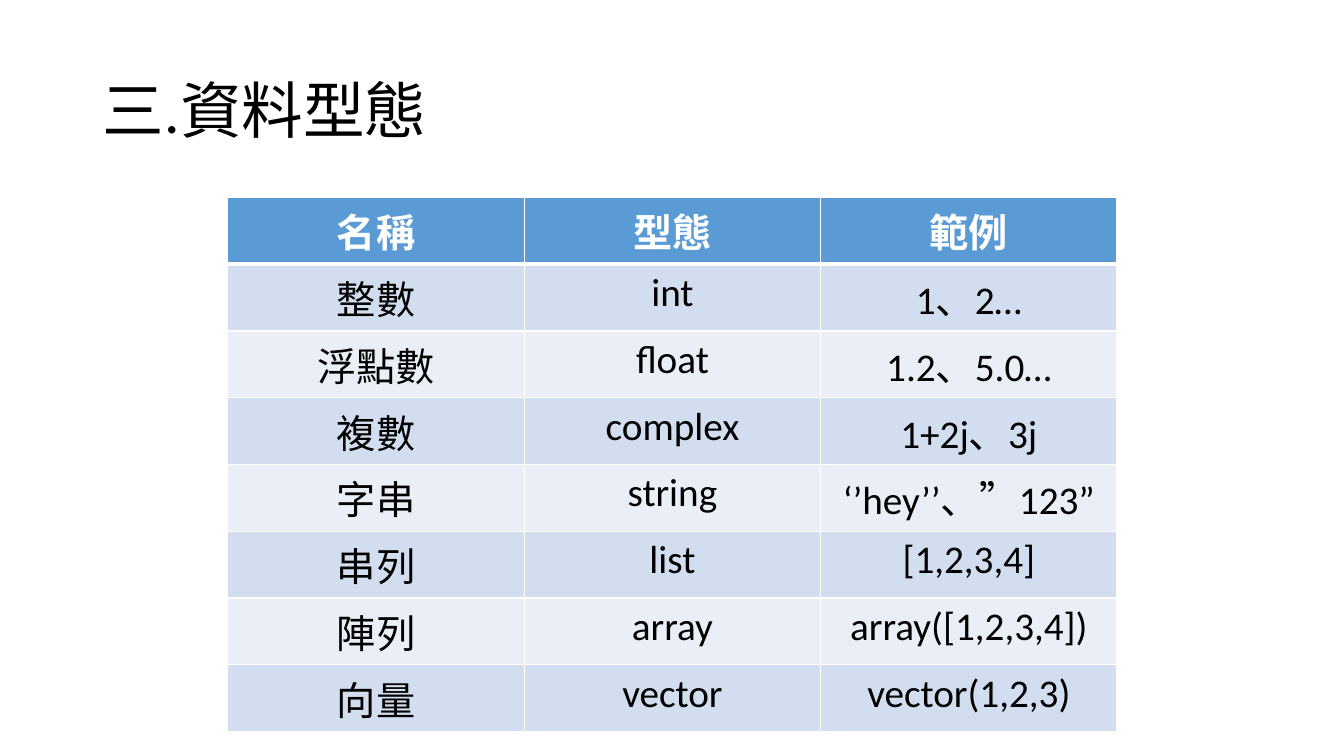
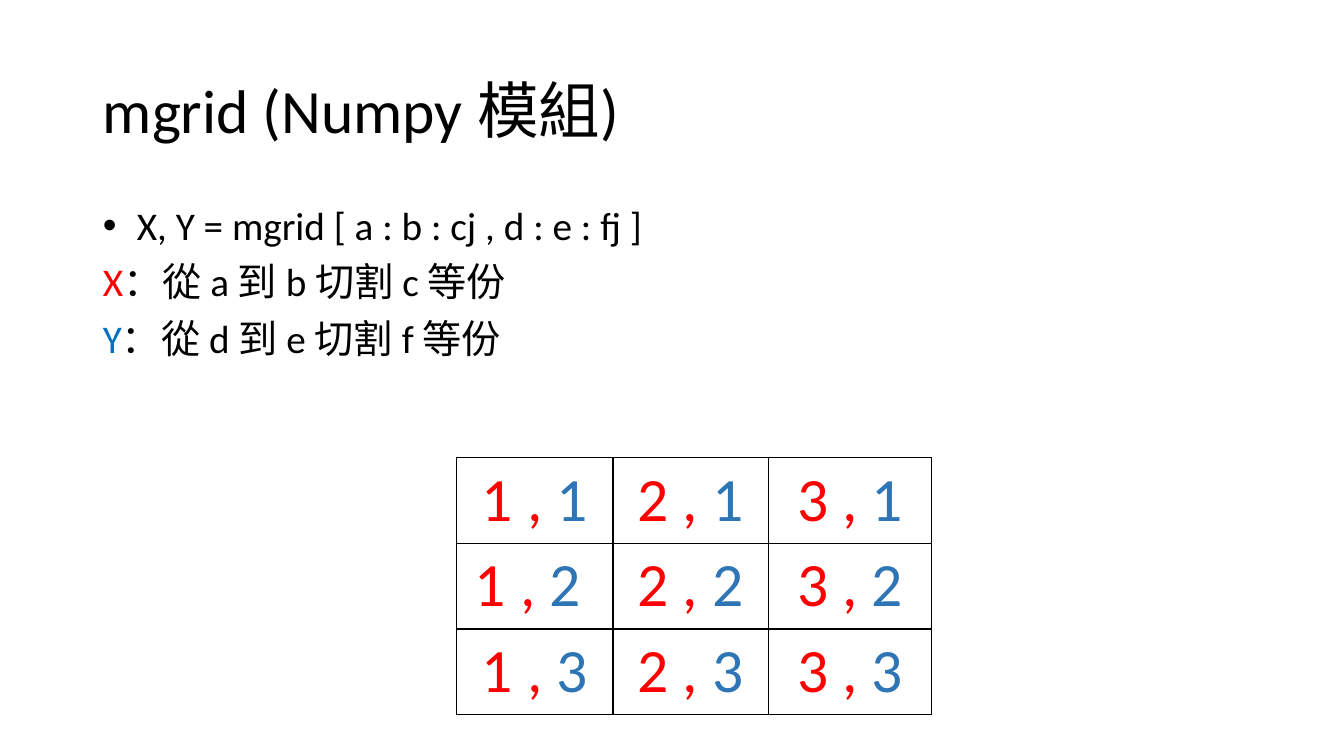
from lxml import etree
from pptx import Presentation
from pptx.dml.color import RGBColor
from pptx.enum.text import MSO_ANCHOR, PP_ALIGN
from pptx.oxml.ns import qn
from pptx.util import Inches, Pt

LEFT, CENTER = PP_ALIGN.LEFT, PP_ALIGN.CENTER
MIDDLE, TOP = MSO_ANCHOR.MIDDLE, MSO_ANCHOR.TOP
TITLE_ONLY, TITLE_BODY = 5, 1

FONT = "Calibri"
BLACK, WHITE = "000000", "FFFFFF"
RED, BLUE, SKY = "FF0000", "2E75B6", "0070C0"
HEAD, BANDS = "5B9BD5", ("EAEFF7", "D2DEEF")
TITLE_BOX = (0.92, 0.4, 11.5, 1.45)

TYPES = [
    ("名稱", "型態", "範例"),
    ("整數", "int", "1、2…"),
    ("浮點數", "float", "1.2、5.0…"),
    ("複數", "complex", "1+2j、3j"),
    ("字串", "string", "‘’hey’’、”123”"),
    ("串列", "list", "[1,2,3,4]"),
    ("陣列", "array", "array([1,2,3,4])"),
    ("向量", "vector", "vector(1,2,3)"),
]
GRID = [
    (("1", "1"), ("2", "1"), ("3", "1")),
    (("1", "2 "), ("2", "2"), ("3", "2")),
    (("1", "3"), ("2", "3"), ("3", "3")),
]


def rgb(color):
    return RGBColor.from_string(color)


def write(para, *runs, size=28, bold=False, align=LEFT, lead=None, before=0):
    """Fill a paragraph with (text, color) runs."""
    para.alignment = align
    para.space_before = Pt(before)
    if lead:
        para.line_spacing = lead
    for text, color in runs:
        run = para.add_run()
        run.text = text
        font = run.font
        font.name, font.size, font.bold = FONT, Pt(size), bold
        font.color.rgb = rgb(color)


def place(shape, box):
    shape.left, shape.top, shape.width, shape.height = map(Inches, box)


def bullet(para, mark=None, indent=0):
    """Set the list mark, or switch it off."""
    props = para._p.get_or_add_pPr()
    props.set("marL", str(Inches(indent)))
    props.set("indent", str(-Inches(indent)))
    if mark:
        etree.SubElement(props, qn("a:buFont"), typeface="Arial")
        etree.SubElement(props, qn("a:buChar"), char=mark)
    else:
        etree.SubElement(props, qn("a:buNone"))


def edge(cell, color, base=1):
    """Draw the four borders; base is the width of the lower one."""
    props = cell._tc.get_or_add_tcPr()
    sides = (("lnL", 1), ("lnR", 1), ("lnT", 1), ("lnB", base))
    for spot, (side, width) in enumerate(sides):
        line = etree.Element(qn("a:" + side), w=str(Pt(width)))
        fill = etree.SubElement(line, qn("a:solidFill"))
        etree.SubElement(fill, qn("a:srgbClr"), val=color)
        props.insert(spot, line)


def add_grid(slide, left, top, widths, height, count):
    """Add a plain table with equal rows."""
    box = (left, top, sum(widths), height * count)
    table = slide.shapes.add_table(count, len(widths), *map(Inches, box)).table
    table.first_row = table.horz_banding = False
    for col, width in zip(table.columns, widths):
        col.width = Inches(width)
    for row in table.rows:
        row.height = Inches(height)
    return table


def add_slide(deck, layout, title):
    slide = deck.slides.add_slide(deck.slide_layouts[layout])
    shape = slide.shapes.title
    place(shape, TITLE_BOX)
    shape.text_frame.vertical_anchor = MIDDLE
    write(shape.text_frame.paragraphs[0], (title, BLACK), size=44, lead=0.9)
    return slide


def type_table(slide, left, top):
    table = add_grid(slide, left, top, [2.94] * 3, 0.66, len(TYPES))
    for r, row in enumerate(TYPES):
        first = r == 0
        for c, text in enumerate(row):
            cell = table.cell(r, c)
            cell.fill.solid()
            cell.fill.fore_color.rgb = rgb(HEAD if first else BANDS[r % 2])
            edge(cell, WHITE, base=3 if first else 1)
            write(cell.text_frame.paragraphs[0],
                  (text, WHITE if first else BLACK), bold=first, align=CENTER)


def pair_table(slide, left, top):
    table = add_grid(slide, left, top, [1.55, 1.54, 1.62], 0.85, len(GRID))
    for r, row in enumerate(GRID):
        for c, (x, y) in enumerate(row):
            cell = table.cell(r, c)
            cell.fill.background()
            edge(cell, BLACK)
            write(cell.text_frame.paragraphs[0],
                  (x + " , ", RED), (y, BLUE), size=44, align=CENTER)


def body_text(slide, box):
    body = slide.placeholders[1]
    place(body, box)
    frame = body.text_frame
    frame.vertical_anchor = TOP
    lines = [
        [(" X, Y = mgrid [ a : b : cj , d : e : fj ]", BLACK)],
        [("X", RED), ("：從 a 到 b 切割 c 等份", BLACK)],
        [("Y", SKY), ("：從 d 到 e 切割 f 等份", BLACK)],
    ]
    for i, runs in enumerate(lines):
        para = frame.add_paragraph() if i else frame.paragraphs[0]
        write(para, *runs, lead=0.9, before=10)
        if i:
            bullet(para)
        else:
            bullet(para, "•", 0.25)


def main():
    deck = Presentation()
    deck.slide_width, deck.slide_height = Inches(13.33), Inches(7.5)

    slide = add_slide(deck, TITLE_ONLY, "三.資料型態")
    type_table(slide, 2.26, 1.96)

    slide = add_slide(deck, TITLE_BODY, "mgrid (Numpy 模組)")
    body_text(slide, (0.92, 2, 11.5, 4.76))
    pair_table(slide, 4.53, 4.54)

    deck.save("out.pptx")


if __name__ == "__main__":
    main()
